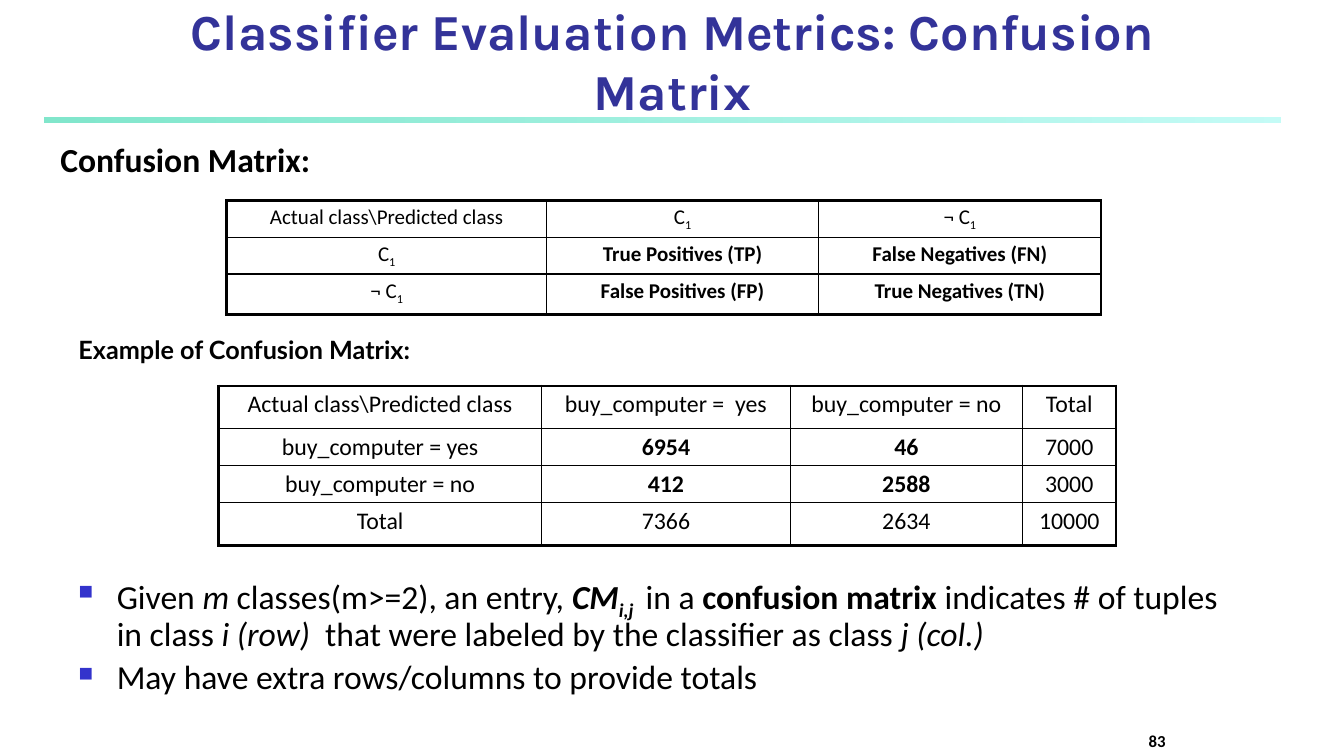
from lxml import etree
from pptx import Presentation
from pptx.dml.color import RGBColor
from pptx.enum import shapes, text
from pptx.oxml import ns
from pptx.util import Inches, Pt


def color(code):
    return RGBColor.from_string(code)


def write(frame, paras, size, font="Calibri", code="000000", bold=False,
          align="LEFT", anchor="TOP", wrap=True, bullet=False):
    frame.word_wrap = wrap
    frame.vertical_anchor = getattr(text.MSO_ANCHOR, anchor)
    for n, runs in enumerate(paras):
        para = frame.add_paragraph() if n else frame.paragraphs[0]
        para.alignment = getattr(text.PP_ALIGN, align)
        if bullet:
            prop = para._p.get_or_add_pPr()
            prop.set("marL", str(Inches(0.38)))
            prop.set("indent", str(-Inches(0.38)))
            para.line_spacing = 0.9
            if n:
                para.space_before = Pt(size * 0.2)
            tint = etree.SubElement(prop, ns.qn("a:buClr"))
            etree.SubElement(tint, ns.qn("a:srgbClr"), val="3333CC")
            etree.SubElement(prop, ns.qn("a:buSzPct"), val="60000")
            etree.SubElement(prop, ns.qn("a:buChar"), char="■")
        for words, style in runs:
            run = para.add_run()
            run.text = words
            run.font.name = font
            run.font.size = Pt(size)
            run.font.color.rgb = color(code)
            run.font.bold = bold or "b" in style
            run.font.italic = "i" in style
            if "s" in style:
                run.font._element.set("baseline", "-25000")


deck = Presentation()
deck.slide_width, deck.slide_height = Inches(13.33), Inches(7.5)
slide = deck.slides.add_slide(deck.slide_layouts[6])

rule = slide.shapes.add_shape(shapes.MSO_SHAPE.RECTANGLE, Inches(0.44),
                              Inches(1.17), Inches(12.26), Inches(0.05))
rule.shadow.inherit = False
rule.line.fill.background()
rule.fill.gradient()
rule.fill.gradient_angle = 0
for stop, code in zip(rule.fill.gradient_stops, ("00CE98", "8FF9EF")):
    stop.color.rgb = color(code)
for tint, alpha in zip(rule._element.spPr.iter(ns.qn("a:srgbClr")), (50, 52)):
    etree.SubElement(tint, ns.qn("a:alpha"), val=str(alpha * 1000))

given = [("Given", ""), (" m ", "i"), ("classes(m>=2), an entry, ", ""),
         ("CM", "bi"), ("i,j ", "bis"), (" in a ", ""),
         ("confusion matrix", "b"), (" indicates # of tuples in class ", ""),
         ("i (row)  ", "i"),
         ("that were labeled by the classifier as class ", ""),
         ("j (col.)", "i")]
extra = [("May have extra rows/columns to provide totals", "")]

boxes = [
    ((1.67, 0, 10, 1.25),
     [[("Classifier Evaluation Metrics: Confusion Matrix", "")]],
     dict(size=36, font="Karla", code="333399", bold=True, align="CENTER",
          anchor="BOTTOM")),
    ((0.5, 1.33, 4.27, 0.5), [[("Confusion Matrix:", "")]],
     dict(size=24, bold=True)),
    ((0.68, 3.27, 3.9, 0.4), [[("Example of Confusion Matrix:", "")]],
     dict(size=18, font="Lato", bold=True, wrap=False)),
    ((0.68, 5.67, 11.65, 1.58), [given, extra], dict(size=24, bullet=True)),
    ((9.58, 7.08, 2.08, 0.42), [[("83", "")]],
     dict(size=12, bold=True, align="RIGHT", anchor="BOTTOM")),
]
for place, paras, form in boxes:
    box = slide.shapes.add_textbox(*map(Inches, place))
    write(box.text_frame, paras, **form)

head = [("Actual class\\Predicted class", "")]
pos = [("C", ""), ("1", "s")]
neg = [("¬ C", ""), ("1", "s")]
terms = [[head, pos, neg],
         [pos, [("True Positives (TP)", "b")], [("False Negatives (FN)", "b")]],
         [neg, [("False Positives (FP)", "b")], [("True Negatives (TN)", "b")]]]
counts = [
    [head, [("buy_computer =  yes", "")], [("buy_computer = no", "")],
     [("Total", "")]],
    [[("buy_computer = yes", "")], [("6954", "b")], [("46", "b")],
     [("7000", "")]],
    [[("buy_computer = no", "")], [("412", "b")], [("2588", "b")],
     [("3000", "")]],
    [[("Total", "")], [("7366", "")], [("2634", "")], [("10000", "")]],
]
grids = [
    (2.25, 1.99, (3.17, 2.7, 2.8), (0.33, 0.36, 0.4), 15, terms),
    (2.17, 3.83, (3.2, 2.47, 2.3, 0.93), (0.42, 0.37, 0.37, 0.42), 17, counts),
]
for left, top, wide, high, size, data in grids:
    table = slide.shapes.add_table(
        len(high), len(wide), Inches(left), Inches(top),
        Inches(sum(wide)), Inches(sum(high))).table
    table.first_row = table.horz_banding = False
    for col, width in zip(table.columns, wide):
        col.width = Inches(width)
    for r, height in enumerate(high):
        table.rows[r].height = Inches(height)
        for c in range(len(wide)):
            cell = table.cell(r, c)
            cell.margin_left = cell.margin_right = Inches(0.1)
            cell.margin_top = cell.margin_bottom = Inches(0.04)
            write(cell.text_frame, [data[r][c]], size, align="CENTER")
            cell.fill.background()
            prop = cell._tc.get_or_add_tcPr()
            outer = (c == 0, c == len(wide) - 1, r == 0, r == len(high) - 1)
            for n, (side, edge) in enumerate(zip("LRTB", outer)):
                line = etree.Element(ns.qn("a:ln" + side),
                                     w=str(Pt(2.25 if edge else 1)))
                solid = etree.SubElement(line, ns.qn("a:solidFill"))
                etree.SubElement(solid, ns.qn("a:srgbClr"), val="000000")
                prop.insert(n, line)

deck.save("out.pptx")
